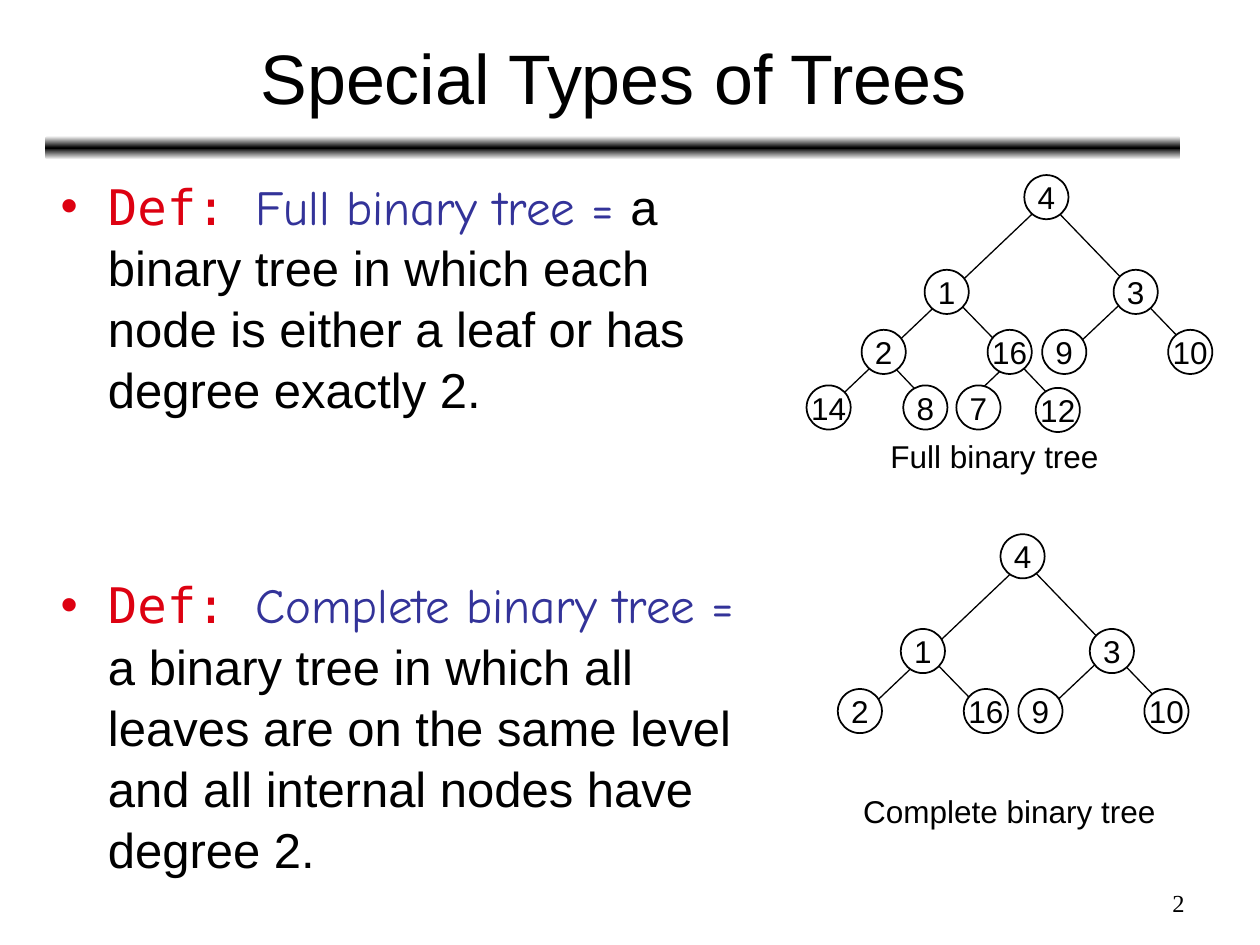
"""Build a slide that defines full and complete binary trees."""
from copy import deepcopy

from lxml import etree
from pptx import Presentation
from pptx.dml.color import RGBColor
from pptx.enum import shapes, text
from pptx.oxml.ns import qn
from pptx.util import Cm, Pt

BLACK = RGBColor(0x00, 0x00, 0x00)
WHITE = RGBColor(0xFF, 0xFF, 0xFF)
RED = RGBColor(0xDD, 0x01, 0x11)
INDIGO = RGBColor(0x33, 0x33, 0x99)
NODE_SIZE = Cm(0.89)


def write(paragraph, words, font="Arial", size=18, color=BLACK, align=None):
    run = paragraph.add_run()
    run.text = words
    run.font.name = font
    run.font.size = Pt(size)
    run.font.color.rgb = color
    if align is not None:
        paragraph.alignment = align


presentation = Presentation()
presentation.slide_width, presentation.slide_height = Cm(25.4), Cm(19.05)
slide = presentation.slides.add_slide(presentation.slide_layouts[1])

divider = slide.shapes.add_shape(
    shapes.MSO_SHAPE.ROUNDED_RECTANGLE, Cm(0.91), Cm(2.74), Cm(22.89), Cm(0.48))
divider.shadow.inherit = False
divider.line.fill.background()
divider.fill.gradient()
divider.fill.gradient_angle = 90
stop_list = divider._element.spPr.find(".//" + qn("a:gsLst"))
stop_list.insert(1, deepcopy(stop_list[0]))
for stop, color, position in zip(divider.fill.gradient_stops, (WHITE, BLACK, WHITE), (0, 0.5, 1)):
    stop.color.rgb = color
    stop.position = position

heading = slide.shapes.title
heading.left, heading.top, heading.width, heading.height = Cm(0.94), Cm(0.28), Cm(22.86), Cm(2.51)
heading.text_frame.vertical_anchor = text.MSO_ANCHOR.MIDDLE
write(heading.text_frame.paragraphs[0], "Special Types of Trees", size=40, align=text.PP_ALIGN.CENTER)

definitions = slide.placeholders[1]
definitions.left, definitions.top = Cm(0.97), Cm(3.38)
definitions.width, definitions.height = Cm(14.71), Cm(14.3)
definitions.text_frame.auto_size = text.MSO_AUTO_SIZE.NONE
definition_rows = [
    ("Full binary tree = ",
     "a binary tree in which each node is either a leaf or has degree exactly 2.", 7),
    ("Complete binary tree = ",
     "a binary tree in which all leaves are on the same level and all internal nodes have degree 2.", 88),
]
for index, (term, meaning, gap) in enumerate(definition_rows):
    frame = definitions.text_frame
    definition = frame.add_paragraph() if index else frame.paragraphs[0]
    definition.line_spacing = 1.04
    definition.space_before = Pt(gap)
    bullet_color = etree.SubElement(definition._p.get_or_add_pPr(), qn("a:buClr"))
    etree.SubElement(bullet_color, qn("a:srgbClr"), val=str(RED))
    write(definition, "Def: ", font="DejaVu Sans Mono", size=28, color=RED)
    write(definition, term, font="Comic Neue", size=28, color=INDIGO)
    write(definition, meaning, size=28)

upper_nodes = [
    ("4", 20.65, 3.53), ("1", 18.64, 5.44), ("3", 22.45, 5.44), ("2", 17.37, 6.65),
    ("16", 19.91, 6.65), ("9", 21.01, 6.65), ("10", 23.55, 6.65),
]
lowest_nodes = [("14", 16.26, 7.77), ("8", 18.21, 7.77), ("7", 19.28, 7.77), ("12", 20.88, 7.82)]
upper_edges = [
    (21.46, 7.19, 22.89, 5.84), (20.4, 7.21, 19.02, 5.79), (24.23, 7.29, 20.83, 3.76),
]
lowest_edges = [
    (16.74, 8.18, 21.18, 3.96), (19, 8.43, 17.53, 6.88),
    (19.41, 8.2, 20.55, 7.11), (21.67, 8.51, 20.19, 6.96),
]
trees = [
    (0, 0, upper_nodes + lowest_nodes, upper_edges + lowest_edges,
     "Full binary tree", 17.7, 8.69, 4.7),
    (-0.48, 7.24, upper_nodes, upper_edges + [(17.68, 7.34, 21.26, 3.94)],
     "Complete binary tree", 17.15, 15.85, 6.4),
]
for shift_x, shift_y, nodes, edges, label, label_x, label_y, label_width in trees:
    tree = slide.shapes.add_group_shape().shapes
    for x1, y1, x2, y2 in edges:
        edge = tree.add_connector(
            shapes.MSO_CONNECTOR.STRAIGHT, Cm(x1 + shift_x), Cm(y1 + shift_y),
            Cm(x2 + shift_x), Cm(y2 + shift_y))
        edge.line.color.rgb = BLACK
        edge.line.width = Pt(0.75)
        etree.SubElement(edge._element.spPr, qn("a:effectLst"))
    for key, x, y in nodes:
        node = tree.add_shape(
            shapes.MSO_SHAPE.OVAL, Cm(x + shift_x), Cm(y + shift_y), NODE_SIZE, NODE_SIZE)
        node.shadow.inherit = False
        node.fill.solid()
        node.fill.fore_color.rgb = WHITE
        node.line.color.rgb = BLACK
        node.line.width = Pt(1)
        node.text_frame.word_wrap = False
        node.text_frame.vertical_anchor = text.MSO_ANCHOR.MIDDLE
        write(node.text_frame.paragraphs[0], key, align=text.PP_ALIGN.CENTER)
    caption = tree.add_textbox(Cm(label_x), Cm(label_y), Cm(label_width), Cm(1.02))
    caption.text_frame.word_wrap = False
    write(caption.text_frame.paragraphs[0], label)

page_number = slide.shapes.add_textbox(Cm(18.21), Cm(17.78), Cm(5.92), Cm(0.89))
page_number.text_frame.word_wrap = True
write(page_number.text_frame.paragraphs[0], "2", font="Times New Roman", size=14,
      align=text.PP_ALIGN.RIGHT)

presentation.save("out.pptx")
